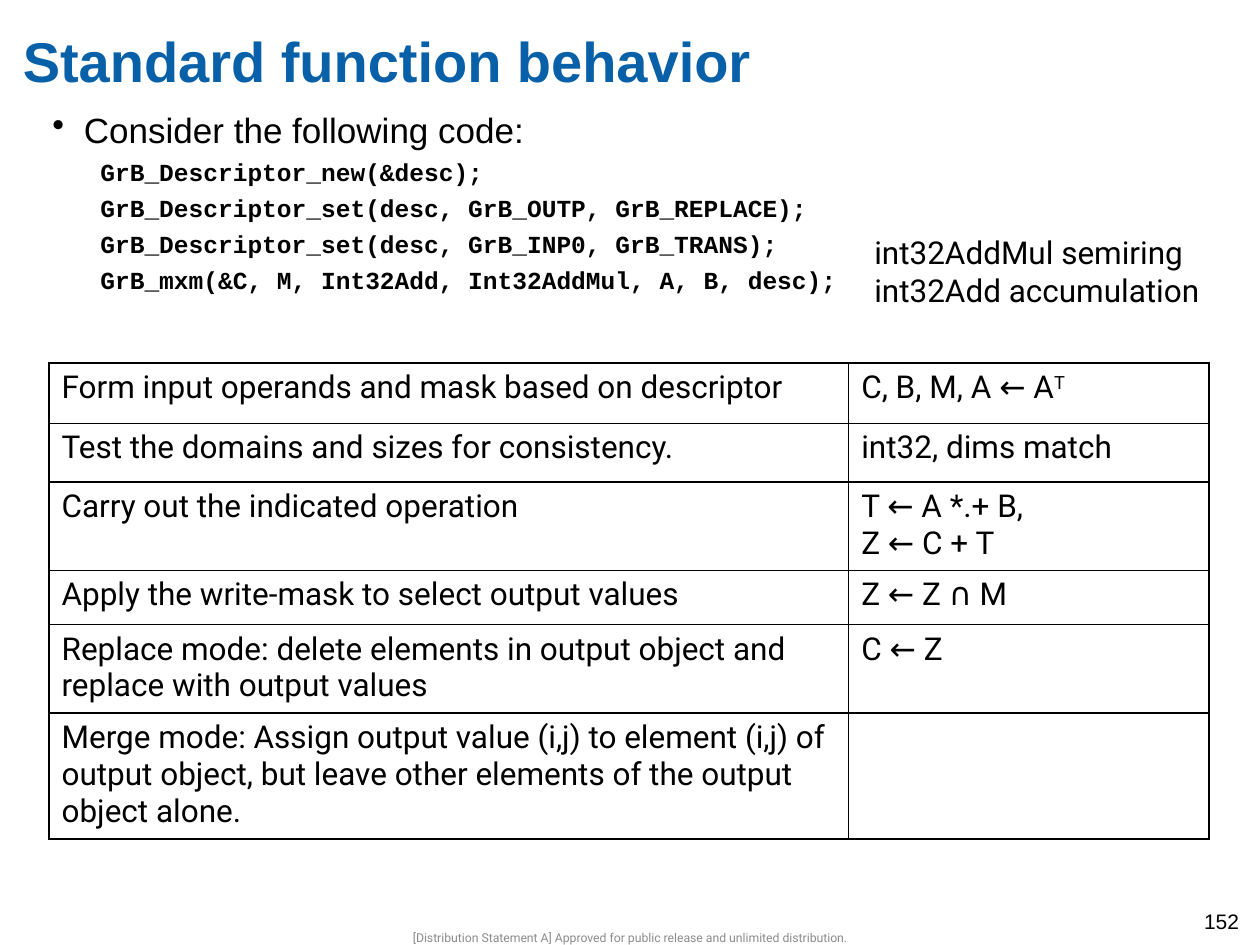
from dataclasses import dataclass

from pptx import Presentation
from pptx import util as u
from pptx.dml.color import RGBColor
from pptx.enum import text
from pptx.oxml.ns import qn
from lxml import etree


@dataclass(frozen=True)
class Theme:
    sans: str = "Arial"
    code: str = "Courier New"
    table: str = "Roboto"
    blue: str = "0860A8"
    black: str = "000000"
    grey: str = "8C8C8C"
    title_size: int = 32
    body_size: int = 20
    table_size: int = 18
    code_size: int = 14
    number_size: int = 12
    footer_size: int = 7


THEME = Theme()

CODE = [
    "GrB_Descriptor_new(&desc);",
    "GrB_Descriptor_set(desc, GrB_OUTP, GrB_REPLACE);",
    "GrB_Descriptor_set(desc, GrB_INP0, GrB_TRANS);",
    "GrB_mxm(&C, M, Int32Add, Int32AddMul, A, B, desc);",
]

# Step, result, superscript after the result
STEPS = [
    ("Form input operands and mask based on descriptor", "C, B, M, A ← A", "T"),
    ("Test the domains and sizes for consistency.", "int32, dims match", ""),
    ("Carry out the indicated operation", "T ← A *.+ B,\nZ ← C + T", ""),
    ("Apply the write-mask to select output values", "Z ← Z ∩ M", ""),
    ("Replace mode: delete elements in output object and "
     "replace with output values", "C ← Z", ""),
    ("Merge mode: Assign output value (i,j) to element (i,j) of output object, "
     "but leave other elements of the output object alone.", "", ""),
]
COLUMN_WIDTHS = [457, 206]
ROW_HEIGHTS = [34.5, 33.5, 36.5, 31, 31, 31]


def format_runs(paragraph, font_name, size, color, bold=False):
    for run in paragraph.runs:
        run.font.name = font_name
        run.font.size = u.Pt(size)
        run.font.bold = bold
        run.font.color.rgb = RGBColor.from_string(color)


def add_text(slide, box, content, font_name, size, color,
             bold=False, inset=True, align=text.PP_ALIGN.LEFT):
    shape = slide.shapes.add_textbox(*(u.Pt(length) for length in box))
    frame = shape.text_frame
    frame.word_wrap = True
    if not inset:
        frame.margin_left = frame.margin_right = 0
        frame.margin_top = frame.margin_bottom = 0
    frame.text = content
    for paragraph in frame.paragraphs:
        paragraph.alignment = align
        format_runs(paragraph, font_name, size, color, bold)
    return frame


def set_indent(paragraph, left, first=0):
    properties = paragraph._p.get_or_add_pPr()
    properties.set("marL", str(u.Pt(left)))
    properties.set("indent", str(u.Pt(first)))
    return properties


def add_code_list(slide):
    frame = add_text(slide, (30, 62, 659, 119.5), "Consider the following code:",
                     THEME.sans, THEME.body_size, THEME.black, inset=False)
    properties = set_indent(frame.paragraphs[0], 18, -18)
    etree.SubElement(properties, qn("a:buChar")).set("char", "•")
    for line in CODE:
        paragraph = frame.add_paragraph()
        paragraph.text = line
        paragraph.level = 1
        paragraph.space_before = u.Pt(3.7)
        set_indent(paragraph, 27.4)
        format_runs(paragraph, THEME.code, THEME.code_size, THEME.black, bold=True)


def set_borders(cell, color, width):
    properties = cell._tc.get_or_add_tcPr()
    for index, side in enumerate(("lnL", "lnR", "lnT", "lnB")):
        line = etree.Element(qn(f"a:{side}"), w=str(u.Pt(width)))
        fill = etree.SubElement(line, qn("a:solidFill"))
        etree.SubElement(fill, qn("a:srgbClr")).set("val", color)
        properties.insert(index, line)


def fill_cell(cell, content, superscript=""):
    cell.fill.background()
    set_borders(cell, THEME.black, 1)
    cell.text_frame.text = content
    if superscript:
        run = cell.text_frame.paragraphs[-1].add_run()
        run.text = superscript
        run._r.get_or_add_rPr().set("baseline", "30000")
    for paragraph in cell.text_frame.paragraphs:
        paragraph.font.size = u.Pt(THEME.table_size)
        format_runs(paragraph, THEME.table, THEME.table_size, THEME.black)


def add_steps_table(slide):
    table = slide.shapes.add_table(
        len(STEPS), len(COLUMN_WIDTHS), u.Pt(28), u.Pt(207.5),
        u.Pt(sum(COLUMN_WIDTHS)), u.Pt(sum(ROW_HEIGHTS))).table
    table.first_row = table.horz_banding = False
    for column, width in zip(table.columns, COLUMN_WIDTHS):
        column.width = u.Pt(width)
    for row, height, (step, result, superscript) in zip(table.rows, ROW_HEIGHTS, STEPS):
        row.height = u.Pt(height)
        fill_cell(row.cells[0], step)
        fill_cell(row.cells[1], result, superscript)


def main():
    presentation = Presentation()
    presentation.slide_width, presentation.slide_height = u.Pt(720), u.Pt(540)
    slide = presentation.slides.add_slide(presentation.slide_layouts[6])

    # Footer and page number
    footer = add_text(
        slide, (206, 531.5, 308, 8.5),
        "[Distribution Statement A] Approved for public release and unlimited distribution.",
        THEME.table, THEME.footer_size, THEME.grey, align=text.PP_ALIGN.CENTER)
    footer.vertical_anchor = text.MSO_ANCHOR.MIDDLE
    add_text(slide, (681, 515.5, 39, 24.5), "152",
             THEME.sans, THEME.number_size, THEME.black)

    # Title and code
    add_text(slide, (13, 15, 649, 70), "Standard function behavior",
             THEME.sans, THEME.title_size, THEME.blue, bold=True, inset=False)
    add_code_list(slide)

    # Steps and the note beside the code
    add_steps_table(slide)
    add_text(slide, (492.5, 129.5, 214, 51),
             "int32AddMul semiring\nint32Add accumulation",
             THEME.table, THEME.table_size, THEME.black)

    presentation.save("out.pptx")


if __name__ == "__main__":
    main()
